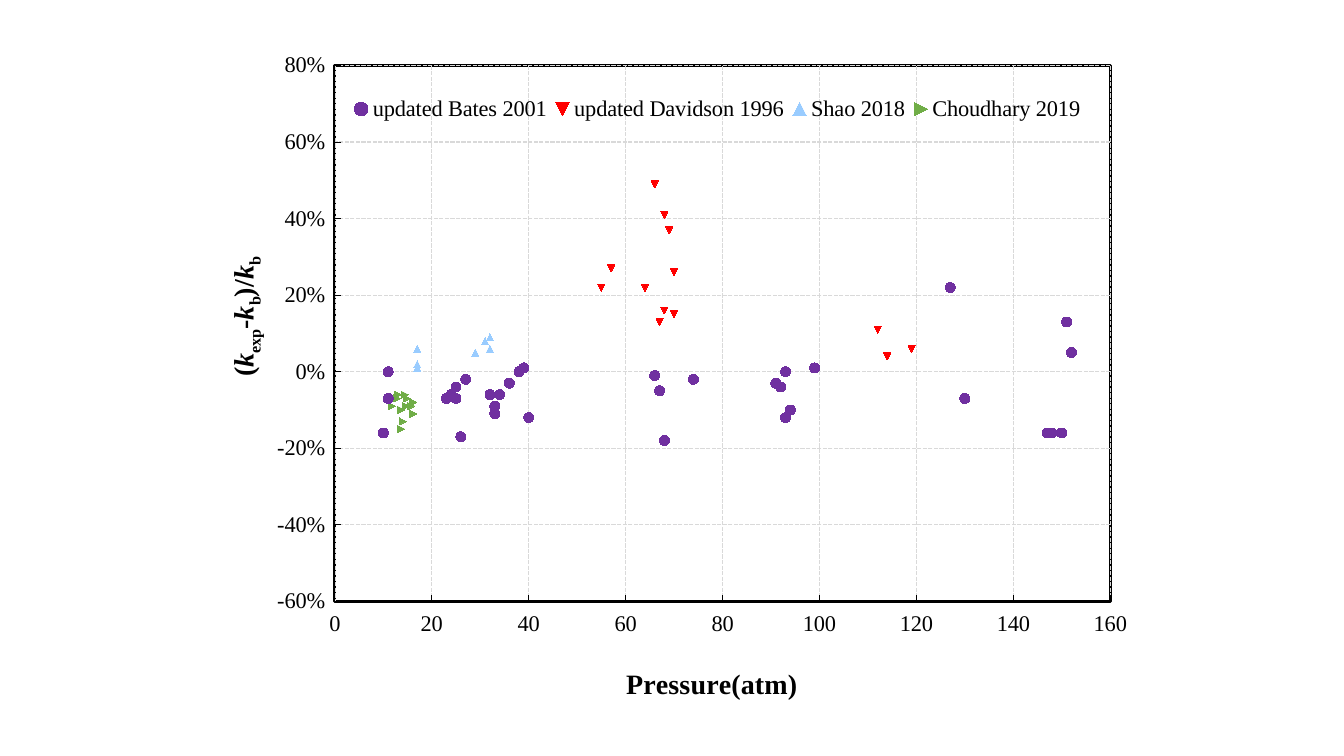
from lxml import etree
from pptx import Presentation
from pptx.chart.data import XyChartData
from pptx.dml.color import RGBColor
from pptx.enum.chart import XL_AXIS_CROSSES as Crosses, XL_CHART_TYPE as ChartType
from pptx.enum.chart import XL_LEGEND_POSITION as LegendPos, XL_MARKER_STYLE as Marker
from pptx.enum.chart import XL_TICK_LABEL_POSITION as LabelPos, XL_TICK_MARK as Tick
from pptx.enum.dml import MSO_LINE
from pptx.oxml import parse_xml
from pptx.oxml.ns import nsdecls, qn
from pptx.util import Inches, Pt

FONT = "Times New Roman"
SERIES = [
    ("updated Bates 2001", Marker.CIRCLE, 7, "7030A0",
     [10, 26, 11, 24, 32, 68, 33, 66, 127, 33, 23, 91, 25, 99, 92, 93, 130,
      11, 151, 27, 25, 152, 94, 67, 93, 150, 36, 34, 74, 40, 148, 38, 147, 39],
     [-.16, -.17, -.07, -.06, -.06, -.18, -.11, -.01, .22, -.09, -.07, -.03,
      -.07, .01, -.04, -.12, -.07, 0, .13, -.02, -.04, .05, -.1, -.05, 0, -.16,
      -.03, -.06, -.02, -.12, -.16, 0, -.16, .01]),
    ("updated Davidson 1996", Marker.AUTOMATIC, 5, "FF0000",
     [64, 69, 57, 55, 67, 70, 68, 70, 68, 66, 119, 114, 112],
     [.22, .37, .27, .22, .13, .15, .16, .26, .41, .49, .06, .04, .11]),
    ("Shao 2018", Marker.TRIANGLE, 5, "99CCFF",
     [32, 32, 31, 32, 17, 17, 17, 17, 17, 17, 29],
     [.09, .09, .08, .06, .06, .06, .01, .02, .02, .02, .05]),
    ("Choudhary 2019", Marker.AUTOMATIC, 5, "70AD47",
     [16.2, 15.8, 14.8, 16.2, 11.8, 12.8, 12.4, 13, 13.7, 13.7, 14, 14.4, 14.7],
     [-.11, -.09, -.07, -.08, -.09, -.07, -.07, -.06, -.15, -.1, -.13, -.06, -.09]),
]


def rgb(value):
    return RGBColor.from_string(value)


def layout_xml(x, y, w=None, h=None, inner=False):
    """Manual layout in shares of the chart's size."""
    parts = '<c:layoutTarget val="inner"/>' if inner else ""
    parts += '<c:xMode val="edge"/><c:yMode val="edge"/>'
    for tag, value in zip("xywh", (x, y, w, h)):
        if value is not None:
            parts += f'<c:{tag} val="{value}"/>'
    return parse_xml(f'<c:layout {nsdecls("c")}><c:manualLayout>{parts}'
                     '</c:manualLayout></c:layout>')


prs = Presentation()
prs.slide_width, prs.slide_height = Inches(13.33), Inches(7.5)
s = prs.slides.add_slide(prs.slide_layouts[6])

data = XyChartData()
for name, _, _, _, pressures, deviations in SERIES:
    points = data.add_series(name)
    for pressure, deviation in zip(pressures, deviations):
        points.add_data_point(pressure, deviation)
chart = s.shapes.add_chart(ChartType.XY_SCATTER, Inches(1.94), Inches(0.33),
                           Inches(9.46), Inches(6.84), data).chart
chart.has_title = False
chart.font.name, chart.font.size = FONT, Pt(16)
chart.font.color.rgb = rgb("000000")
plot = chart.plots[0]
plot.vary_by_categories = False

for series, (_, style, size, color, _, _) in zip(plot.series, SERIES):
    series.smooth = False
    series.format.line.fill.background()
    marker = series.marker
    marker.style, marker.size = style, size
    marker.format.fill.solid()
    marker.format.fill.fore_color.rgb = rgb(color)
    marker.format.line.color.rgb = rgb(color)

# Title pieces: text, italic, subscript
AXES = [
    (chart.category_axis, 0, 160, 20, "0", 0, (0.446, 0.91),
     [("Pressure(atm)", False, False)]),
    (chart.value_axis, -0.6, 0.8, 0.2, "0%", -5400000, (0.029, 0.32),
     [("(", False, False), ("k", True, False), ("exp", False, True),
      ("-", False, False), ("k", True, False), ("b", False, True),
      (")/", False, False), ("k", True, False), ("b", False, True)]),
]
for axis, low, high, step, number_format, turn, place, pieces in AXES:
    axis.minimum_scale, axis.maximum_scale, axis.major_unit = low, high, step
    axis.crosses = Crosses.MINIMUM
    axis.major_tick_mark, axis.minor_tick_mark = Tick.INSIDE, Tick.NONE
    axis.tick_label_position = LabelPos.LOW
    axis.tick_labels.number_format = number_format
    axis.tick_labels.number_format_is_linked = False
    axis.tick_labels.font.name, axis.tick_labels.font.size = FONT, Pt(16)
    axis.format.line.color.rgb, axis.format.line.width = rgb("000000"), Pt(0.75)
    axis.has_major_gridlines = True
    grid = axis.major_gridlines.format.line
    grid.color.rgb, grid.width = rgb("D9D9D9"), Pt(1)
    grid.dash_style = MSO_LINE.SQUARE_DOT
    tf = axis.axis_title.text_frame
    p = tf.paragraphs[0]
    for text, italic, subscript in pieces:
        r = p.add_run()
        r.text = text
        font = r.font
        font.name, font.size, font.bold, font.italic = FONT, Pt(20), True, italic
        font.color.rgb = rgb("000000")
        if subscript:
            font._element.set("baseline", "-25000")
    title = axis.axis_title._element
    title.find(".//" + qn("a:bodyPr")).set("rot", str(turn))
    for old in title.findall(qn("c:layout")):
        title.remove(old)
    title.find(qn("c:tx")).addnext(layout_xml(*place))

chart.has_legend = True
legend = chart.legend
legend.position, legend.include_in_layout = LegendPos.BOTTOM, False
legend.font.name, legend.font.size = FONT, Pt(16)
for old in legend._element.findall(qn("c:layout")):
    legend._element.remove(old)
legend._element.find(qn("c:legendPos")).addnext(layout_xml(0.157, 0.08, 0.78, 0.06))

area = chart._chartSpace.chart.plotArea
for old in area.findall(qn("c:layout")):
    area.remove(old)
area.insert(0, layout_xml(0.146, 0.047, 0.813, 0.777, inner=True))
frame = etree.SubElement(area, qn("c:spPr"))
fill = etree.SubElement(frame, qn("a:solidFill"))
etree.SubElement(fill, qn("a:srgbClr"), val="FFFFFF")
border = etree.SubElement(frame, qn("a:ln"), w=str(Pt(2.25)))
fill = etree.SubElement(border, qn("a:solidFill"))
etree.SubElement(fill, qn("a:srgbClr"), val="000000")

prs.save("out.pptx")
